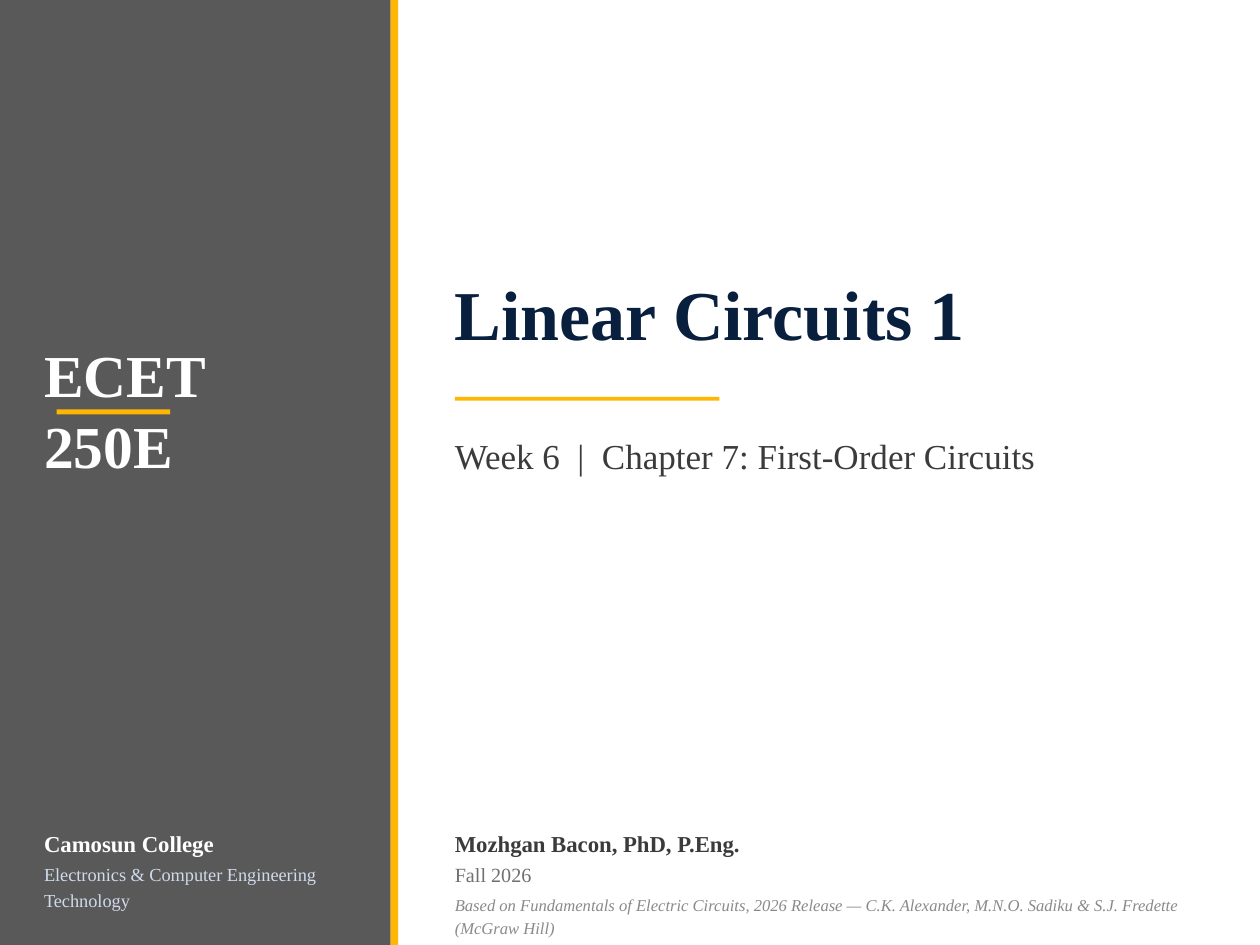
from dataclasses import dataclass

from pptx import Presentation
from pptx.dml.color import RGBColor
from pptx.enum.shapes import MSO_SHAPE
from pptx.enum.text import MSO_ANCHOR, MSO_AUTO_SIZE, PP_ALIGN
from pptx.util import Inches, Pt

RECTANGLE = MSO_SHAPE.RECTANGLE
TOP, MIDDLE = MSO_ANCHOR.TOP, MSO_ANCHOR.MIDDLE
GROW = MSO_AUTO_SIZE.SHAPE_TO_FIT_TEXT
LEFT = PP_ALIGN.LEFT
TITLE_ONLY = 5


@dataclass(frozen=True)
class Theme:
    font: str = "Times New Roman"
    white: str = "FFFFFF"
    panel: str = "595959"
    accent: str = "FFB600"
    navy: str = "081F3D"
    body: str = "3B3B3B"
    muted: str = "707070"
    faint: str = "8A8A8A"
    pale: str = "CFDAEA"
    title_size: float = 40
    code_size: float = 34
    subtitle_size: float = 20
    name_size: float = 13
    term_size: float = 11.5
    department_size: float = 10.5
    source_size: float = 9.5


THEME = Theme()


def style(text, size, color, bold=False, italic=False, **spacing):
    """Text with its font format and paragraph spacing."""
    font = {"name": THEME.font, "size": Pt(size), "bold": bold, "italic": italic}
    return text, font, color, {"alignment": LEFT, **spacing}


def write(holder, paragraphs, anchor=TOP):
    frame = holder.text_frame
    frame_format = {
        "word_wrap": True, "auto_size": GROW, "vertical_anchor": anchor,
        "margin_left": 0, "margin_right": 0, "margin_top": 0, "margin_bottom": 0,
    }
    for key, value in frame_format.items():
        setattr(frame, key, value)
    for index, (text, font, color, spacing) in enumerate(paragraphs):
        paragraph = frame.add_paragraph() if index else frame.paragraphs[0]
        for key, value in spacing.items():
            setattr(paragraph, key, value)
        run = paragraph.add_run()
        run.text = text
        for key, value in font.items():
            setattr(run.font, key, value)
        run.font.color.rgb = RGBColor.from_string(color)


def add_text(slide, left, top, width, height, paragraphs, anchor=TOP):
    holder = slide.shapes.add_textbox(left, top, width, height)
    write(holder, paragraphs, anchor)


def add_bar(slide, left, top, width, height, color):
    bar = slide.shapes.add_shape(RECTANGLE, left, top, width, height)
    bar.shadow.inherit = False
    bar.fill.solid()
    bar.fill.fore_color.rgb = RGBColor.from_string(color)
    bar.line.fill.background()


def add_course_panel(slide, left, top, width, height):
    """Dark side panel with the course code and the college."""
    add_bar(slide, left, top, width, height, THEME.panel)
    add_bar(slide, left + width, top, Inches(0.06), height, THEME.accent)

    # Course code, with a short rule between its two lines
    text_left, text_width = left + Inches(0.35), Inches(2.4)
    add_text(slide, text_left, top + Inches(2.55), text_width, Inches(1.4),
             [style("ECET 250E", THEME.code_size, THEME.white, bold=True)], MIDDLE)
    add_bar(slide, left + Inches(0.45), top + Inches(3.25),
            Inches(0.9), Inches(0.04), THEME.accent)

    # College and department
    add_text(slide, text_left, top + Inches(6.55), text_width, Inches(0.7), [
        style("Camosun College", THEME.name_size, THEME.white, bold=True,
              line_spacing=1.15, space_after=Pt(2)),
        style("Electronics & Computer Engineering Technology",
              THEME.department_size, THEME.pale, line_spacing=1.15),
    ])


def add_lecture_details(slide, left, top, width):
    """Lecture title, subtitle, instructor and source."""
    # Title and rule
    title = slide.shapes.title
    place = {"left": left, "top": top + Inches(2.15),
             "width": width, "height": Inches(1.3)}
    for key, value in place.items():
        setattr(title, key, value)
    write(title, [style("Linear Circuits 1", THEME.title_size, THEME.navy, bold=True)])
    add_bar(slide, left, top + Inches(3.15), Inches(2.1), Inches(0.03), THEME.accent)

    # Week and chapter
    add_text(slide, left, top + Inches(3.4), Inches(6.26), Inches(0.34), [
        style("Week 6  |  Chapter 7: First-Order Circuits",
              THEME.subtitle_size, THEME.body, line_spacing=1.15),
    ])

    # Instructor and term
    add_text(slide, left, top + Inches(6.55), width, Inches(0.47), [
        style("Mozhgan Bacon, PhD, P.Eng.", THEME.name_size, THEME.body, bold=True,
              line_spacing=1.15, space_after=Pt(1)),
        style("Fall 2026", THEME.term_size, THEME.muted, line_spacing=1.15),
    ])

    # Textbook
    add_text(slide, left, top + Inches(7.08), width, Inches(0.3), [
        style("Based on Fundamentals of Electric Circuits, 2026 Release — "
              "C.K. Alexander, M.N.O. Sadiku & S.J. Fredette (McGraw Hill)",
              THEME.source_size, THEME.faint, italic=True, line_spacing=1.15),
    ])


def main():
    deck = Presentation()
    deck.slide_width, deck.slide_height = Inches(10), Inches(7.5)
    slide = deck.slides.add_slide(deck.slide_layouts[TITLE_ONLY])
    slide.background.fill.solid()
    slide.background.fill.fore_color.rgb = RGBColor.from_string(THEME.white)
    add_course_panel(slide, Inches(0), Inches(0), Inches(3.1), deck.slide_height)
    add_lecture_details(slide, Inches(3.61), Inches(0), Inches(5.94))
    deck.save("out.pptx")


if __name__ == "__main__":
    main()
